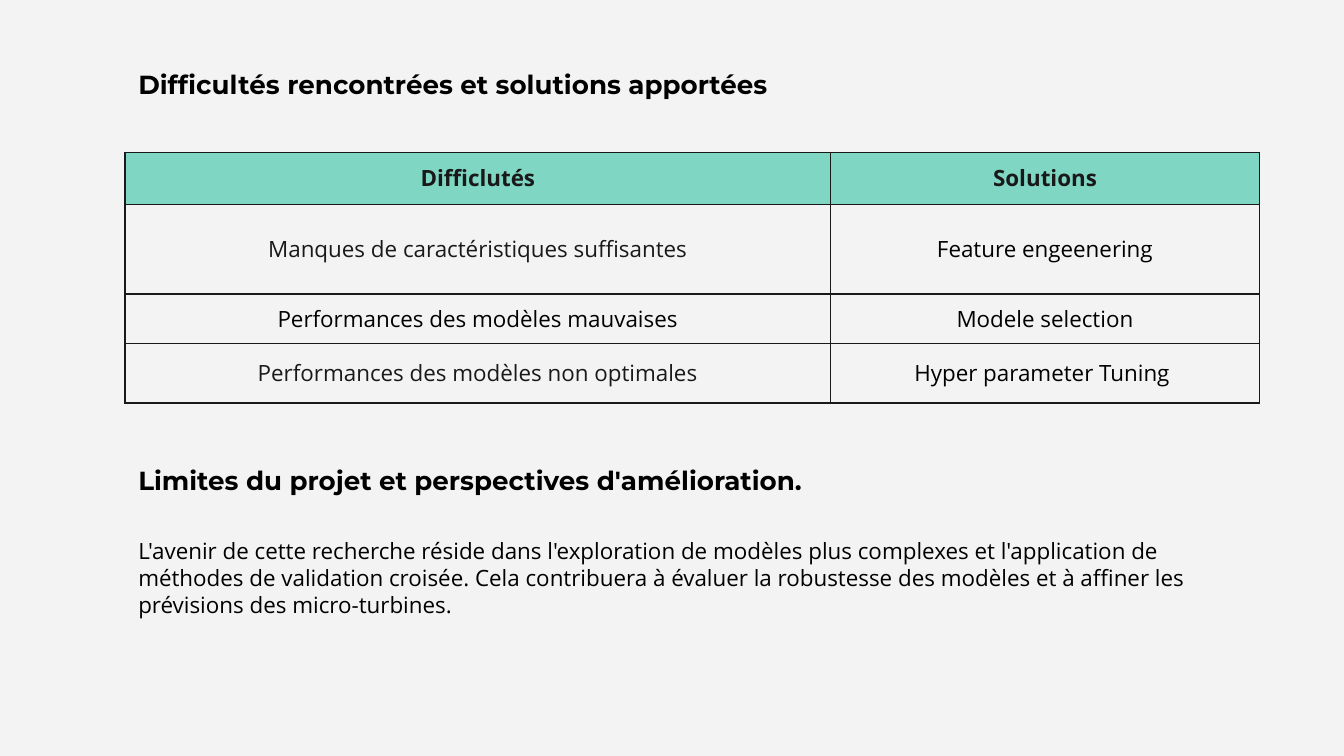
import pptx
import pptx.dml.color
import pptx.enum.text
import pptx.oxml
import pptx.oxml.ns
import pptx.util

Pt = pptx.util.Pt

# Content: each table cell is (text, colour)
INK, BLACK, MINT, PAPER = "191919", "000000", "7FD6C3", "F3F3F3"
TABLE_ROWS = [
    [("Difficlutés", INK), ("Solutions", INK)],
    [("Manques de caractéristiques suffisantes", INK), ("Feature engeenering", BLACK)],
    [("Performances des modèles mauvaises", BLACK), ("Modele selection", BLACK)],
    [("Performances des modèles non optimales", INK), ("Hyper parameter Tuning ", BLACK)],
]
COLUMN_WIDTHS = [378, 229.7]
ROW_HEIGHTS = [28, 48, 26.5, 32]
LEFT, TABLE_TOP = 67, 81.5

HEADING = ("Montserrat", 14, True)
BODY = ("Open Sans", 12, False)
# Text boxes: text, top, width, height, style, space after
TEXTS = [
    ("Difficultés rencontrées et solutions apportées", 33, 360, 24.5, HEADING, 0),
    ("Limites du projet et perspectives d'amélioration.", 245.5, 385, 24.5, HEADING, 0),
    ("L'avenir de cette recherche réside dans l'exploration de modèles plus complexes "
     "et l'application de méthodes de validation croisée. Cela contribuera à évaluer la "
     "robustesse des modèles et à affiner les prévisions des micro-turbines.",
     284.4, 601, 51, BODY, 6),
]


def color(value):
    return pptx.dml.color.RGBColor.from_string(value)


def add_run(paragraph, text, style, text_color):
    run = paragraph.add_run()
    run.text = text
    run.font.name, size, run.font.bold = style
    run.font.size = Pt(size)
    run.font.color.rgb = color(text_color)


def add_borders(cell):
    properties = cell._tc.get_or_add_tcPr()
    for index, side in enumerate(("lnL", "lnR", "lnT", "lnB")):
        properties.insert(index, pptx.oxml.parse_xml(
            f'<a:{side} {pptx.oxml.ns.nsdecls("a")} w="{Pt(0.75)}">'
            f'<a:solidFill><a:srgbClr val="{INK}"/></a:solidFill></a:{side}>'))


def add_table(slide):
    table = slide.shapes.add_table(
        len(ROW_HEIGHTS), len(COLUMN_WIDTHS), Pt(LEFT), Pt(TABLE_TOP),
        Pt(sum(COLUMN_WIDTHS)), Pt(sum(ROW_HEIGHTS))).table
    table.first_row = table.horz_banding = False
    for column, width in zip(table.columns, COLUMN_WIDTHS):
        column.width = Pt(width)
    for row_index, (row, height) in enumerate(zip(table.rows, ROW_HEIGHTS)):
        row.height = Pt(height)
        is_header = row_index == 0
        for cell, (text, text_color) in zip(row.cells, TABLE_ROWS[row_index]):
            cell.vertical_anchor = pptx.enum.text.MSO_ANCHOR.MIDDLE
            cell.margin_left = cell.margin_right = Pt(7.2 if is_header else 0)
            cell.margin_top = cell.margin_bottom = Pt(5 if is_header else 0)
            if is_header:
                cell.fill.solid()
                cell.fill.fore_color.rgb = color(MINT)
            else:
                cell.fill.background()
            add_borders(cell)
            paragraph = cell.text_frame.paragraphs[0]
            paragraph.alignment = pptx.enum.text.PP_ALIGN.CENTER
            add_run(paragraph, text, ("Open Sans", 12, is_header), text_color)


def add_text(slide, text, top, width, height, style, space_after):
    frame = slide.shapes.add_textbox(Pt(LEFT), Pt(top), Pt(width), Pt(height)).text_frame
    frame.word_wrap = True
    frame.auto_size = pptx.enum.text.MSO_AUTO_SIZE.SHAPE_TO_FIT_TEXT
    paragraph = frame.paragraphs[0]
    paragraph.space_after = Pt(space_after)
    add_run(paragraph, text, style, BLACK)


def main():
    presentation = pptx.Presentation()
    presentation.slide_width, presentation.slide_height = Pt(720), Pt(405)
    slide = presentation.slides.add_slide(presentation.slide_layouts[6])
    slide.background.fill.solid()
    slide.background.fill.fore_color.rgb = color(PAPER)

    # Difficulties table, then headings and closing paragraph
    add_table(slide)
    for entry in TEXTS:
        add_text(slide, *entry)
    presentation.save("out.pptx")


if __name__ == "__main__":
    main()
